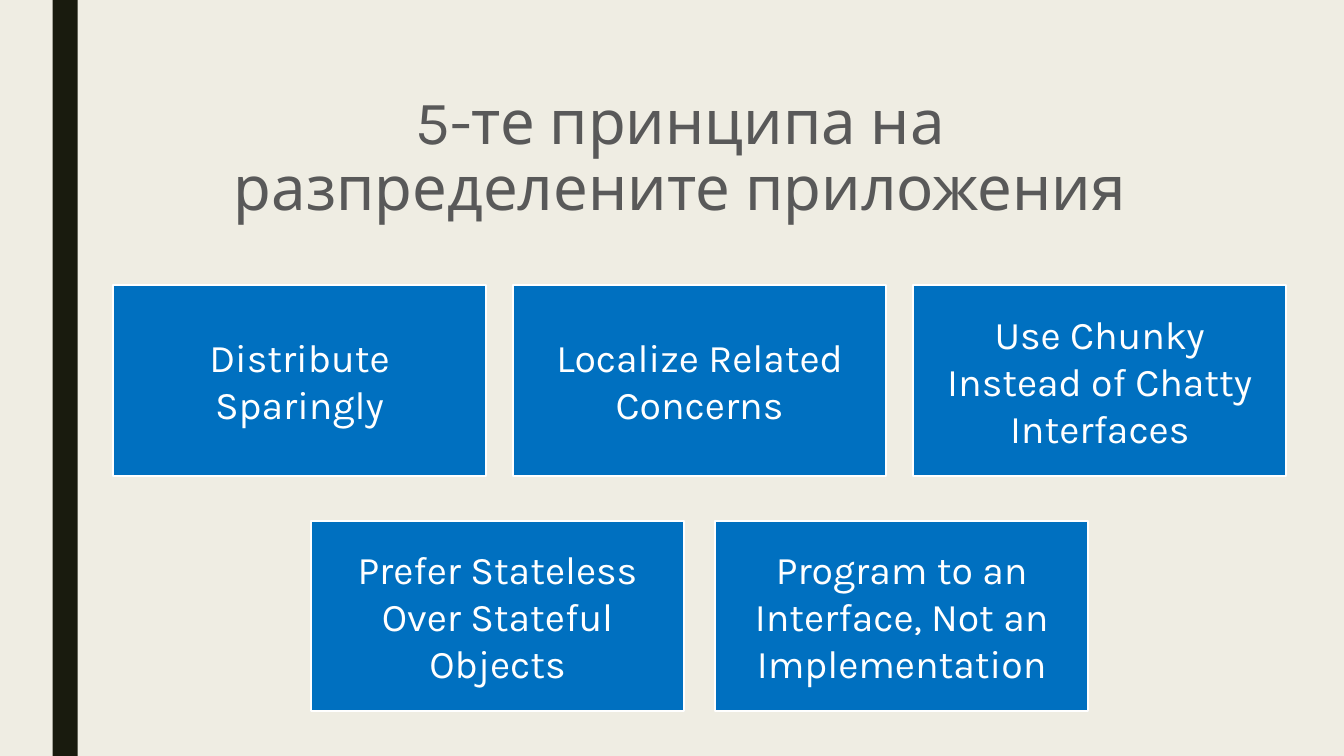
from dataclasses import dataclass

from pptx import Presentation
from pptx.dml.color import RGBColor as Color
from pptx.enum.shapes import MSO_SHAPE as Preset
from pptx.enum.text import MSO_ANCHOR as Anchor, PP_ALIGN as Align
from pptx.util import Pt


@dataclass(frozen=True)
class Theme:
    background: Color = Color(0xEF, 0xED, 0xE3)
    stripe: Color = Color(0x19, 0x1B, 0x0E)
    title: Color = Color(0x59, 0x59, 0x59)
    card: Color = Color(0x00, 0x70, 0xC0)
    card_text: Color = Color(0xFF, 0xFF, 0xFF)
    font: str = "Karla"
    title_size: int = 44
    card_size: int = 28


THEME = Theme()
SLIDE_WIDTH, SLIDE_HEIGHT = 960, 540
CARD_WIDTH, CARD_HEIGHT = 266.6, 136
CARDS_CENTER = 499.7
CARD_ROWS = [
    (203.8, 19.2, [
        ["Distribute Sparingly"],
        ["Localize Related", "Concerns"],
        ["Use Chunky", "Instead of Chatty Interfaces"],
    ]),
    (372.2, 22.1, [
        ["Prefer Stateless Over Stateful Objects"],
        ["Program to an Interface, Not an Implementation"],
    ]),
]


def write_text(frame, lines, size, color, line_spacing=None):
    frame.word_wrap = True
    frame.vertical_anchor = Anchor.MIDDLE
    for index, line in enumerate(lines):
        paragraph = frame.add_paragraph() if index else frame.paragraphs[0]
        paragraph.alignment = Align.CENTER
        if line_spacing:
            paragraph.line_spacing = line_spacing
        run = paragraph.add_run()
        run.text = line
        run.font.name = THEME.font
        run.font.size = Pt(size)
        run.font.color.rgb = color


def add_rectangle(slide, left, top, width, height, fill):
    shape = slide.shapes.add_shape(
        Preset.RECTANGLE, Pt(left), Pt(top), Pt(width), Pt(height))
    shape.shadow.inherit = False
    shape.fill.solid()
    shape.fill.fore_color.rgb = fill
    shape.line.fill.background()
    return shape


def add_title(slide, text):
    box = slide.shapes.add_textbox(Pt(108), Pt(54), Pt(756), Pt(117))
    write_text(box.text_frame, [text], THEME.title_size, THEME.title, 0.89)


def add_card(slide, left, top, lines):
    card = add_rectangle(slide, left, top, CARD_WIDTH, CARD_HEIGHT, THEME.card)
    card.line.color.rgb = THEME.card_text
    card.line.width = Pt(1.5)
    write_text(card.text_frame, lines, THEME.card_size, THEME.card_text)


def add_card_row(slide, top, gap, cards):
    step = CARD_WIDTH + gap
    first_left = CARDS_CENTER - (len(cards) * step - gap) / 2
    for column, lines in enumerate(cards):
        add_card(slide, first_left + column * step, top, lines)


def main():
    presentation = Presentation()
    presentation.slide_width = Pt(SLIDE_WIDTH)
    presentation.slide_height = Pt(SLIDE_HEIGHT)
    slide = presentation.slides.add_slide(presentation.slide_layouts[6])
    slide.background.fill.solid()
    slide.background.fill.fore_color.rgb = THEME.background
    add_rectangle(slide, 37.5, 0, 18, SLIDE_HEIGHT, THEME.stripe)
    add_title(slide, "5-те принципа на разпределените приложения")
    for top, gap, cards in CARD_ROWS:
        add_card_row(slide, top, gap, cards)
    presentation.save("out.pptx")


main()
